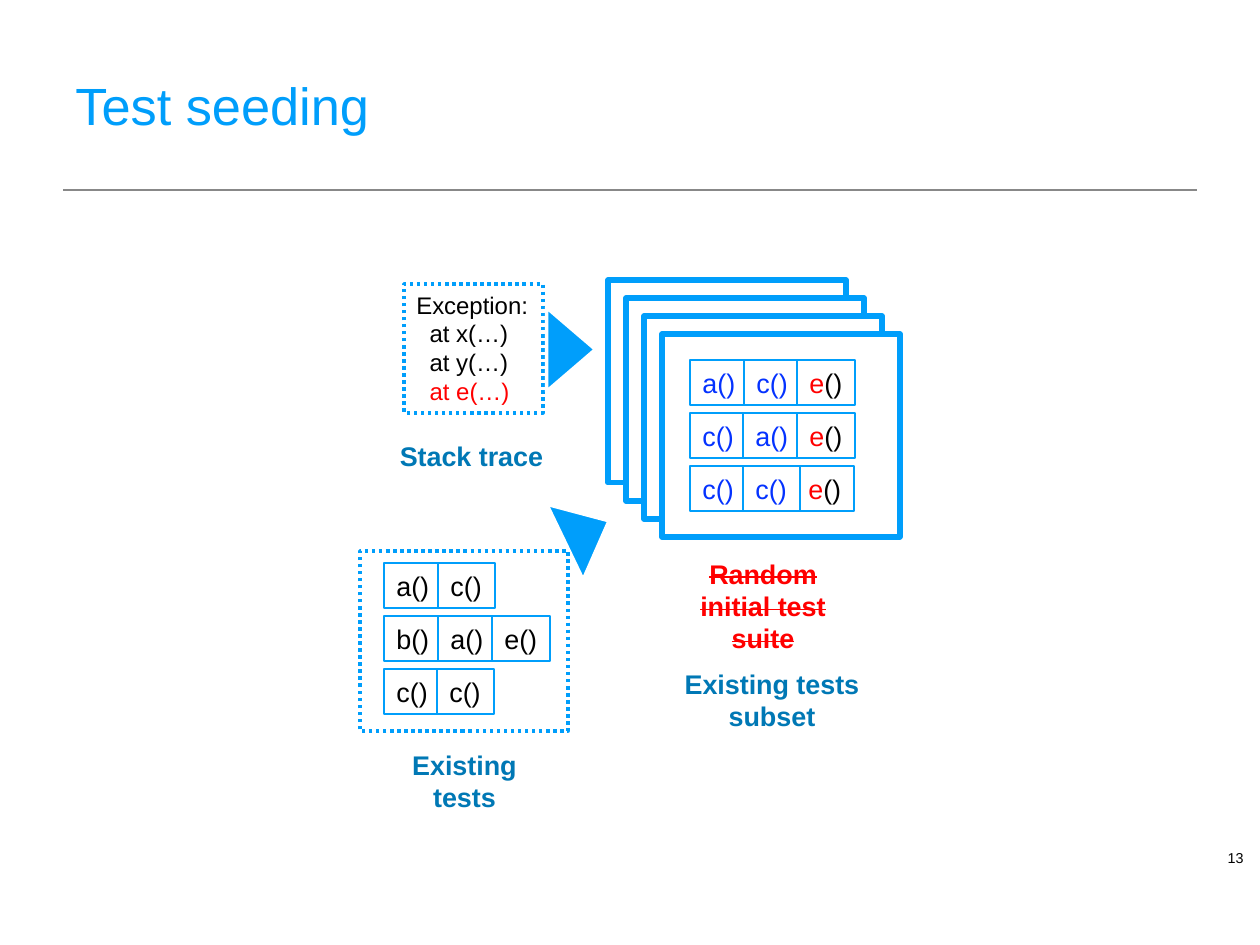
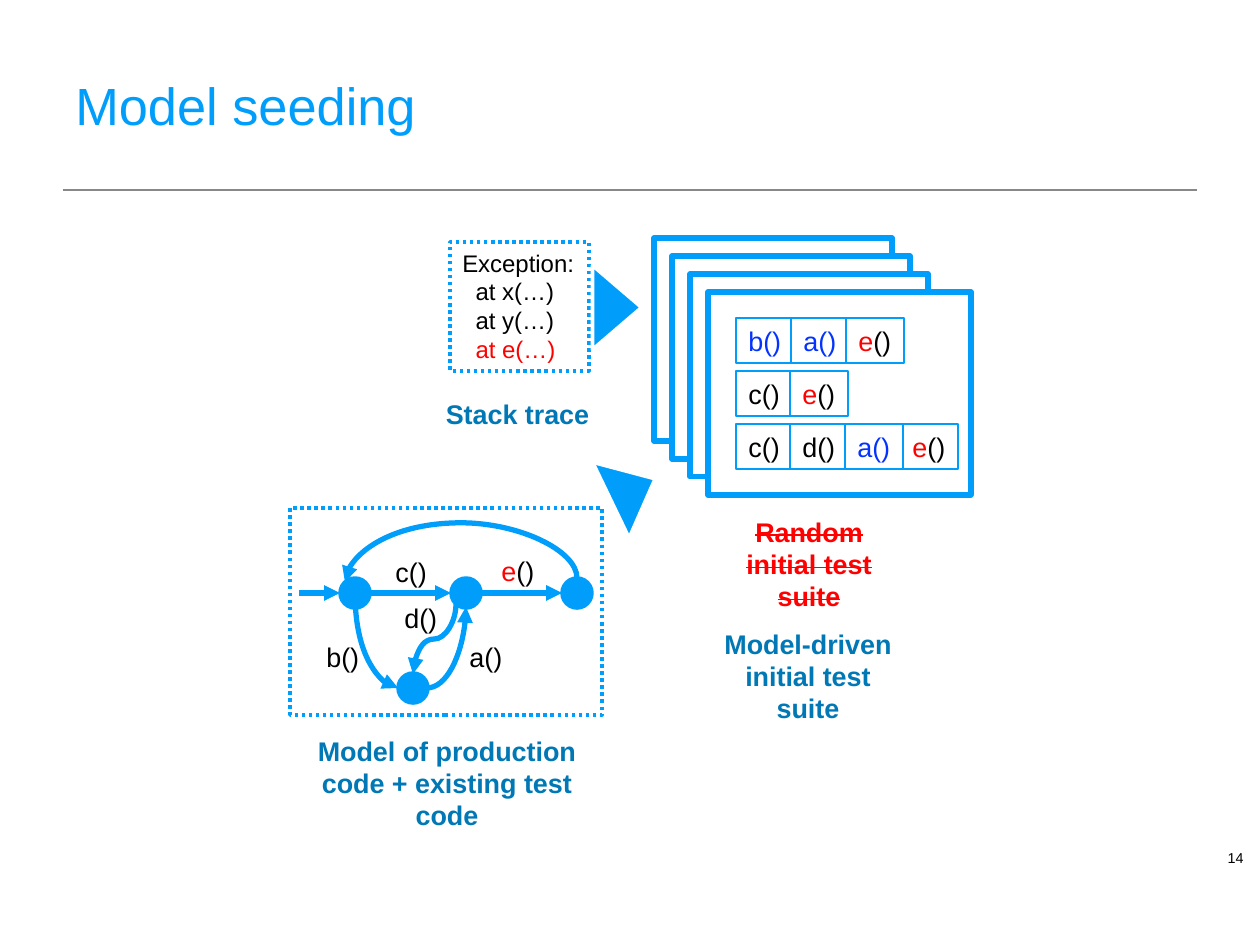
"""Builds two slides on seeding a test generator from existing tests and from a model."""
from lxml.etree import SubElement
from pptx import Presentation
from pptx.dml.color import RGBColor
from pptx.enum.dml import MSO_LINE
from pptx.enum.shapes import MSO_CONNECTOR, MSO_SHAPE
from pptx.enum.text import MSO_ANCHOR, MSO_AUTO_SIZE, PP_ALIGN
from pptx.oxml.ns import qn
from pptx.util import Pt

SKY, LABEL, SEED = "009EFB", "0078B5", "0432FF"
RED, BLACK, WHITE, GREY = "FF0000", "000000", "FFFFFF", "888888"
FONT, BODY, TRACE_SIZE, TITLE_SIZE, NUMBER_SIZE = "Arial", 15.4, 13.7, 29.9, 8.2

CRASH = [("e", RED), ("()", BLACK)]
SEED_A, SEED_B, SEED_C = ([(call, SEED)] for call in ("a()", "b()", "c()"))
A, B, C, D, E = ([(call, BLACK)] for call in ("a()", "b()", "c()", "d()", "e()"))

STACK_TRACE = [
    [("Exception:", BLACK)],
    [("  at x(…)", BLACK)],
    [("  at y(…)", BLACK)],
    [("  at e(…)", RED)],
]

TEST_SEEDING = {
    "title": "Test seeding", "number": "13", "shift": (0, 0),
    "front_width": 238, "overlap": 4,
    "suite": [[SEED_A, SEED_C, CRASH], [SEED_C, SEED_A, CRASH], [SEED_C, SEED_C, CRASH]],
    "result": ("Existing tests subset", (668, 661, 208, 78)),
    "panel": (360, 551, 208, 180),
    "source": ("Existing tests", (379, 742, 171, 78)),
}
EXISTING_TESTS = [[A, C], [B, A, E], [C, C]]

MODEL_SEEDING = {
    "title": "Model seeding", "number": "14", "shift": (46, -42),
    "front_width": 263, "overlap": 3,
    "suite": [[SEED_B, SEED_A, CRASH], [C, CRASH], [C, D, SEED_A, CRASH]],
    "result": ("Model-driven initial test suite", (704, 621, 208, 111)),
    "panel": (290, 508, 312, 207),
    "source": ("Model of production code + existing test code", (290, 728, 314, 111)),
}
STATES = [(355, 593), (466, 593), (577, 593), (413, 688)]
STATE_SIZE = 30
STRAIGHT_STEPS = [((299, 593), (340, 593)), ((370, 593), (451, 593)), ((481, 593), (562, 593))]
CURVED_STEPS = [
    ((355, 593), (398, 688), 270, "curvedConnector2", None),
    ((427, 688), (466, 607), 0, "curvedConnector2", None),
    ((577, 578), (345, 582), 270, "curvedConnector3", -13.75),
    ((456, 604), (413, 674), 90, "curvedConnector3", 0.5),
]
STEP_CALLS = [(A, 457, 634), (B, 314, 634), (C, 383, 549), (CRASH, 489, 548), (D, 392, 595)]

CELL_HEIGHT, ROW_STEP = 45, 53


def px(length):
    return round(length * 914400 / 126)


def rgb(colour):
    return RGBColor.from_string(colour)


def write(shape, lines, size, bold=False, align=PP_ALIGN.LEFT, anchor=MSO_ANCHOR.TOP,
          wrap=True, grow=True, strike=False):
    frame = shape.text_frame
    frame.word_wrap = wrap
    frame.auto_size = MSO_AUTO_SIZE.SHAPE_TO_FIT_TEXT if grow else MSO_AUTO_SIZE.NONE
    frame.vertical_anchor = anchor
    for index, pieces in enumerate(lines):
        paragraph = frame.add_paragraph() if index else frame.paragraphs[0]
        paragraph.alignment = align
        font = paragraph.font
        font.name, font.size, font.bold = FONT, Pt(size), bold
        if len(pieces) == 1:
            font.color.rgb = rgb(pieces[0][1])
        for words, colour in pieces:
            run = paragraph.add_run()
            run.text = words
            if len(pieces) > 1:
                run.font.color.rgb = rgb(colour)
            if strike:
                run._r.get_or_add_rPr().set("strike", "sngStrike")
    return frame


def add_text(slide, box, lines, size, **style):
    return write(slide.shapes.add_textbox(*map(px, box)), lines, size, **style)


def add_label(slide, box, words, colour=LABEL, strike=False):
    add_text(slide, box, [[(words, colour)]], BODY, bold=True,
             align=PP_ALIGN.CENTER, strike=strike)


def add_box(slide, box, fill=WHITE, line=SKY, weight=3, dotted=False,
            kind=MSO_SHAPE.RECTANGLE, turn=0):
    shape = slide.shapes.add_shape(kind, *map(px, box))
    shape.shadow.inherit = False
    shape.rotation = turn
    if fill:
        shape.fill.solid()
        shape.fill.fore_color.rgb = rgb(fill)
    else:
        shape.fill.background()
    shape.line.color.rgb = rgb(line)
    shape.line.width = Pt(weight)
    if dotted:
        shape.line.dash_style = MSO_LINE.ROUND_DOT
    return shape


def add_line(slide, start, end, colour=SKY, weight=3, arrow=True, kind=MSO_CONNECTOR.STRAIGHT):
    connector = slide.shapes.add_connector(kind, *map(px, (*start, *end)))
    connector.line.color.rgb = rgb(colour)
    connector.line.width = Pt(weight)
    if arrow:
        SubElement(connector.line._get_or_add_ln(), qn("a:tailEnd"), type="triangle")
    SubElement(connector.element.spPr, qn("a:effectLst"))
    return connector


def add_curve(slide, start, end, turn, preset, bend):
    middle_x, middle_y = (start[0] + end[0]) / 2, (start[1] + end[1]) / 2
    x, y = start[0] - middle_x, start[1] - middle_y
    x, y = {0: (x, y), 90: (y, -x), 270: (-y, x)}[turn]
    connector = add_line(slide, (middle_x + x, middle_y + y), (middle_x - x, middle_y - y),
                         kind=MSO_CONNECTOR.CURVE)
    properties = connector.element.spPr
    properties.find(qn("a:xfrm")).set("rot", str(turn * 60000))
    geometry = properties.find(qn("a:prstGeom"))
    geometry.set("prst", preset)
    if bend is not None:
        guides = geometry.find(qn("a:avLst"))
        if guides is None:
            guides = SubElement(geometry, qn("a:avLst"))
        SubElement(guides, qn("a:gd"), name="adj1", fmla=f"val {round(bend * 100000)}")


def add_tests(slide, left, top, tests, overlap, tuck_last=False):
    for row, calls in enumerate(tests):
        cells, x = [], left
        for call in calls:
            width = 57 if call in (C, SEED_C) else 58
            cells.append((x, width, call))
            x += width - overlap
        if tuck_last and row == len(tests) - 1:
            cells.insert(0, cells.pop())
        for x, width, call in cells:
            cell = add_box(slide, (x, top + row * ROW_STEP, width, CELL_HEIGHT), weight=1.5)
            write(cell, [call], BODY, wrap=False)


def add_seeding_slide(deck, scene):
    slide = deck.slides.add_slide(deck.slide_layouts[6])
    dx, dy = scene["shift"]

    def shifted(left, top, *size):
        return (left + dx, top + dy, *size)

    add_line(slide, (63, 190), (1197, 190), GREY, 1, arrow=False)
    title = add_text(slide, (63, 30, 1134, 156), [[(scene["title"], SKY)]], TITLE_SIZE,
                     anchor=MSO_ANCHOR.MIDDLE, grow=False)
    title.paragraphs[0].line_spacing = 0.9
    add_text(slide, (1208, 833, 48, 50), [[(scene["number"], BLACK)]], NUMBER_SIZE,
             align=PP_ALIGN.RIGHT, anchor=MSO_ANCHOR.MIDDLE, grow=False)

    for sheet in range(4):
        width = scene["front_width"] if sheet == 3 else 238
        add_box(slide, shifted(608 + 18 * sheet, 280 + 18 * sheet, width, 203))
    add_tests(slide, *shifted(690, 360), scene["suite"], scene["overlap"], tuck_last=True)

    trace = add_box(slide, shifted(404, 284, 139, 129), fill=None, weight=2, dotted=True)
    write(trace, STACK_TRACE, TRACE_SIZE, wrap=False)
    add_label(slide, shifted(386, 433, 171, 45), "Stack trace")
    for left, top, turn in ((529, 325, 90), (545, 507, 64.3)):
        add_box(slide, shifted(left, top, 84, 49), SKY, WHITE, 2,
                kind=MSO_SHAPE.ISOSCELES_TRIANGLE, turn=turn)

    add_label(slide, shifted(659, 551, 208, 111), "Random initial test suite", RED, strike=True)
    for words, box in (scene["result"], scene["source"]):
        add_label(slide, box, words)
    add_box(slide, scene["panel"], fill=None, weight=2, dotted=True)
    return slide


def add_model(slide):
    for x, y in STATES:
        add_box(slide, (x - STATE_SIZE / 2, y - STATE_SIZE / 2, STATE_SIZE, STATE_SIZE),
                SKY, weight=2, kind=MSO_SHAPE.FLOWCHART_CONNECTOR)
    for start, end in STRAIGHT_STEPS:
        add_line(slide, start, end)
    for step in CURVED_STEPS:
        add_curve(slide, *step)
    for call, left, top in STEP_CALLS:
        add_text(slide, (left, top, 58, CELL_HEIGHT), [call], BODY, wrap=False)


def main():
    deck = Presentation()
    deck.slide_width, deck.slide_height = px(1260), px(945)
    add_tests(add_seeding_slide(deck, TEST_SEEDING), 384, 563, EXISTING_TESTS, 4)
    add_model(add_seeding_slide(deck, MODEL_SEEDING))
    deck.save("out.pptx")


if __name__ == "__main__":
    main()
